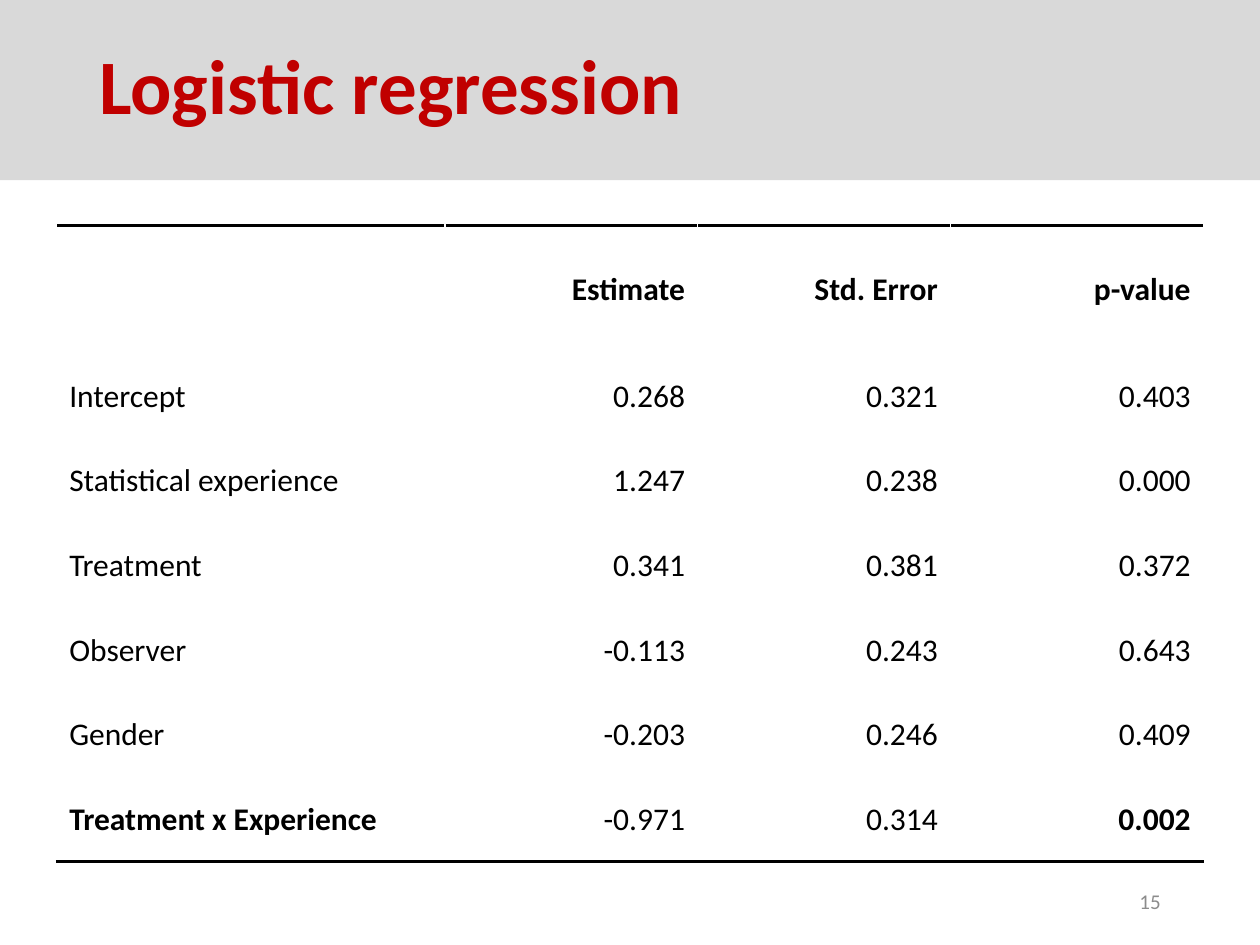
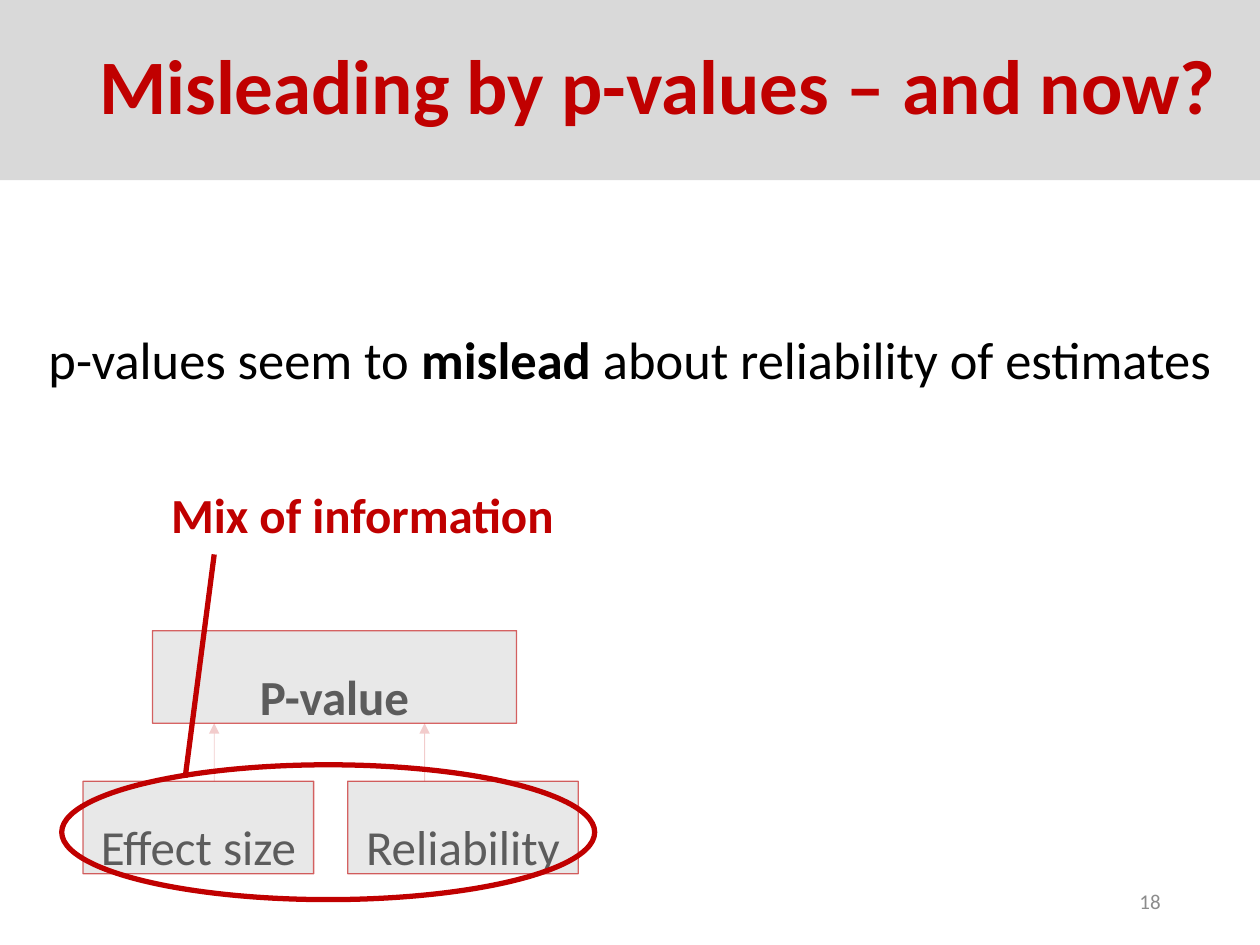
from dataclasses import dataclass

from lxml import etree
from pptx import Presentation
from pptx import util as u
from pptx.dml.color import RGBColor
from pptx.enum import shapes, text
from pptx.oxml import parse_xml
from pptx.oxml.ns import nsdecls, qn


@dataclass(frozen=True)
class Theme:
    font: str = "Calibri"
    accent: str = "C00000"
    band: str = "D9D9D9"
    ink: str = "000000"
    paper: str = "FFFFFF"
    muted: str = "8C8C8C"
    title: int = 44
    statement: int = 30
    label: int = 28
    table: int = 18
    footer: int = 12


T = Theme()
WIDTH, HEIGHT = u.Inches(10), u.Inches(7.5)
COLS, ROWS = 100, 75
BAND_ROWS = 14.3
FADED, FAINT = 60, 20
LEFT, CENTER, RIGHT = text.PP_ALIGN.LEFT, text.PP_ALIGN.CENTER, text.PP_ALIGN.RIGHT
TOP, MIDDLE = text.MSO_ANCHOR.TOP, text.MSO_ANCHOR.MIDDLE

COEFFICIENTS = [
    ("", "Estimate", "Std. Error", "p-value"),
    ("Intercept", "0.268", "0.321", "0.403"),
    ("Statistical experience", "1.247", "0.238", "0.000"),
    ("Treatment", "0.341", "0.381", "0.372"),
    ("Observer", "-0.113", "0.243", "0.643"),
    ("Gender", "-0.203", "0.246", "0.409"),
    ("Treatment x Experience", "-0.971", "0.314", "0.002"),
]


def col(n):
    return round(WIDTH * n / COLS)


def row(n):
    return round(HEIGHT * n / ROWS)


def place(x, y, w, h):
    return col(x), row(y), col(w), row(h)


def paint(fill, color, opacity=100):
    fill.solid()
    fill.fore_color.rgb = RGBColor.from_string(color)
    if opacity < 100:
        clr = fill._xPr.find(qn("a:solidFill"))[0]
        etree.SubElement(clr, qn("a:alpha"), val=str(opacity * 1000))


def stroke(line, width, opacity=100):
    line.width = u.Pt(width)
    paint(line.fill, T.accent, opacity)


def style(p, size, color, bold=False, align=LEFT, opacity=100):
    p.alignment = align
    p.font.name, p.font.size, p.font.bold = T.font, u.Pt(size), bold
    paint(p.font.fill, color, opacity)


def add_text(s, box, words, size, color, bold=False, align=LEFT, anchor=TOP, spacing=None):
    tf = s.shapes.add_textbox(*place(*box)).text_frame
    tf.word_wrap = True
    tf.vertical_anchor = anchor
    p = tf.paragraphs[0]
    p.line_spacing = spacing
    style(p, size, color, bold, align)
    for i, part in enumerate(words.split("*")):
        r = p.add_run()
        r.text = part
        if i % 2:
            r.font.bold = True


def add_plain_shape(s, kind, box):
    sp = s.shapes.add_shape(kind, *place(*box))
    sp.shadow.inherit = False
    return sp


def add_faded_box(s, box, words, bold=False):
    sp = add_plain_shape(s, shapes.MSO_SHAPE.RECTANGLE, box)
    paint(sp.fill, T.band, FADED)
    stroke(sp.line, 0.75, FADED)
    tf = sp.text_frame
    tf.vertical_anchor = TOP
    p = tf.paragraphs[0]
    p.text = words
    p.line_spacing = 1.5
    style(p, T.label, T.ink, bold, CENTER, FADED)


def add_line(s, start, end, width, opacity=100, arrow=False):
    ln = s.shapes.add_connector(
        shapes.MSO_CONNECTOR.STRAIGHT, col(start[0]), row(start[1]), col(end[0]), row(end[1]))
    stroke(ln.line, width, opacity)
    sp_pr = ln._element.spPr
    if arrow:
        etree.SubElement(sp_pr.find(qn("a:ln")), qn("a:tailEnd"), type="triangle")
    etree.SubElement(sp_pr, qn("a:effectLst"))


def add_rule(cell, side):
    cell._tc.get_or_add_tcPr().insert(0, parse_xml(
        f'<a:{side} {nsdecls("a")} w="{u.Pt(2)}"><a:solidFill>'
        f'<a:srgbClr val="{T.ink}"/></a:solidFill></a:{side}>'))


def add_slide(prs, title, number):
    s = prs.slides.add_slide(prs.slide_layouts[6])
    band = add_plain_shape(s, shapes.MSO_SHAPE.RECTANGLE, (0, 0, COLS, BAND_ROWS))
    paint(band.fill, T.band)
    band.line.fill.background()
    add_text(s, (6.9, 0, 91.4, BAND_ROWS), title, T.title, T.accent, True,
             anchor=MIDDLE, spacing=0.9)
    add_text(s, (70.6, 69.5, 22.5, 4), number, T.footer, T.muted, align=RIGHT, anchor=MIDDLE)
    return s


def add_coefficients(s, x, y, label_cols, value_cols, head_rows, body_rows):
    last, fields = len(COEFFICIENTS) - 1, len(COEFFICIENTS[0])
    widths = [label_cols] + [value_cols] * (fields - 1)
    heights = [head_rows] + [body_rows] * last
    table = s.shapes.add_table(
        last + 1, fields, *place(x, y, sum(widths), sum(heights))).table
    table.first_row = table.horz_banding = False
    for column, w in zip(table.columns, widths):
        column.width = col(w)
    for i, record in enumerate(COEFFICIENTS):
        table.rows[i].height = row(heights[i])
        for j, value in enumerate(record):
            cell = table.cell(i, j)
            paint(cell.fill, T.paper)
            cell.vertical_anchor = MIDDLE
            p = cell.text_frame.paragraphs[0]
            p.text = value
            bold = i == 0 or (i == last and j in (0, fields - 1))
            style(p, T.table, T.ink, bold, RIGHT if j else LEFT)
            if i == 0:
                add_rule(cell, "lnT")
            if i == last:
                add_rule(cell, "lnB")


def add_mix_diagram(s):
    box_rows, result_top, source_top = 7.35, 50.05, 62
    add_faded_box(s, (12.1, result_top, 28.9, box_rows), "P-value", True)
    for x, arrow_x, words in ((6.6, 17, "Effect size"), (27.6, 33.7, "Reliability")):
        add_line(s, (arrow_x, source_top), (arrow_x, result_top + box_rows), 0.5, FAINT, True)
        add_faded_box(s, (x, source_top, 18.3, box_rows), words)


def add_mix_callout(s):
    ring = add_plain_shape(s, shapes.MSO_SHAPE.OVAL, (4.9, 60.7, 42.3, 10.7))
    ring.fill.background()
    stroke(ring.line, 3)
    add_line(s, (14.7, 61.7), (17, 44), 3)
    add_text(s, (12.6, 38, 39.3, 5.7), "Mix of information", T.label, T.accent, True)


def main():
    prs = Presentation()
    prs.slide_width, prs.slide_height = WIDTH, HEIGHT

    s = add_slide(prs, "Logistic regression", "15")
    add_coefficients(s, 4.5, 17.9, 30.8, 20.07, 10.2, 6.72)

    s = add_slide(prs, "Misleading by p-values – and now?", "18")
    add_mix_diagram(s)
    add_text(s, (0, 23, COLS, 7.8), "p-values seem to *mislead* about reliability of estimates",
             T.statement, T.ink, align=CENTER, spacing=1.5)
    add_mix_callout(s)

    prs.save("out.pptx")


if __name__ == "__main__":
    main()
